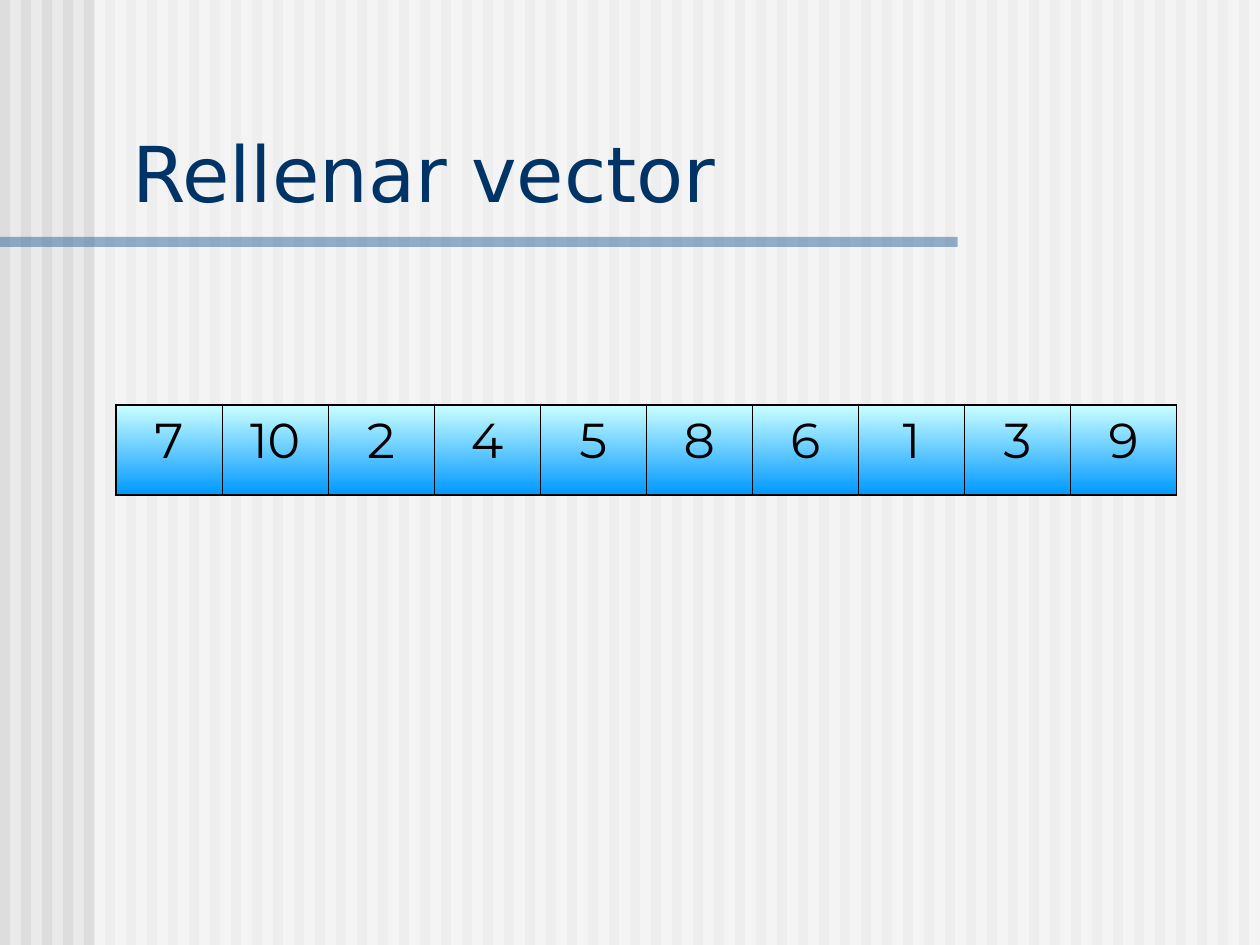
from lxml import etree
from pptx import Presentation
from pptx.dml.color import RGBColor
from pptx.enum.shapes import MSO_SHAPE
from pptx.enum.text import MSO_ANCHOR, PP_ALIGN
from pptx.oxml.ns import qn
from pptx.util import Inches, Pt

RECT = MSO_SHAPE.RECTANGLE
BOTTOM = MSO_ANCHOR.BOTTOM
LEFT, CENTER = PP_ALIGN.LEFT, PP_ALIGN.CENTER

PAPER = RGBColor(0xEA, 0xEA, 0xEA)
STRIPE = RGBColor(0xDD, 0xDD, 0xDD)
WHITE = RGBColor(0xFF, 0xFF, 0xFF)
RULE = RGBColor(0x33, 0x66, 0x99)
NAVY = RGBColor(0x00, 0x33, 0x66)
BLACK = RGBColor(0, 0, 0)
LIGHT = RGBColor(0xCC, 0xFF, 0xFF)
BLUE = RGBColor(0x00, 0x99, 0xFF)

NO_GRID = "{2D5ABB26-0587-4C30-8999-92F81FD0307C}"
THICK, THIN = 1.08, 0.45
VALUES = [7, 10, 2, 4, 5, 8, 6, 1, 3, 9]


def add_rect(shapes, x, y, w, h, color, alpha=None):
    rect = shapes.add_shape(RECT, Inches(x), Inches(y), Inches(w), Inches(h))
    rect.shadow.inherit = False
    rect.line.fill.background()
    rect.fill.solid()
    rect.fill.fore_color.rgb = color
    if alpha is not None:
        tint = rect.fill._xPr.find(qn("a:solidFill"))[0]
        etree.SubElement(tint, qn("a:alpha"), val=str(alpha * 1000))


def write(frame, text, font, size, color, align=LEFT):
    para = frame.paragraphs[0]
    para.alignment = align
    run = para.add_run()
    run.text = text
    run.font.name = font
    run.font.size = Pt(size)
    run.font.color.rgb = color


def add_back(slide, w, h):
    """Striped paper, a pale veil right of the margin, and the title rule."""
    slide.background.fill.solid()
    slide.background.fill.fore_color.rgb = PAPER
    shapes = slide.shapes.add_group_shape().shapes
    for i in range(int(w * 6)):
        add_rect(shapes, i / 6, 0, 0.08, h, STRIPE)
    add_rect(shapes, 0.75, 0, w - 0.75, h, WHITE, alpha=50)
    add_rect(shapes, 0, 1.88, 7.6, 0.08, RULE, alpha=50)


def add_title(slide, text, x, y, w, h):
    box = slide.shapes.add_textbox(Inches(x), Inches(y), Inches(w), Inches(h))
    frame = box.text_frame
    frame.word_wrap = True
    frame.vertical_anchor = BOTTOM
    write(frame, text, "DejaVu Sans", 44, NAVY)


def set_edge(cell, side, width):
    props = cell._tc.get_or_add_tcPr()
    line = etree.SubElement(props, qn("a:ln" + side), w=str(Pt(width)))
    fill = etree.SubElement(line, qn("a:solidFill"))
    etree.SubElement(fill, qn("a:srgbClr"), val=str(BLACK))


def shade(cell):
    cell.fill.gradient()
    cell.fill.gradient_angle = 270
    for stop, color, pos in zip(cell.fill.gradient_stops, (LIGHT, BLUE), (0, 1)):
        stop.color.rgb = color
        stop.position = pos


def add_vector(slide, values, x, y, w, h):
    """Table of three rows, with the values in the middle one."""
    count = len(values)
    shape = slide.shapes.add_table(
        3, count, Inches(x), Inches(y), Inches(w), Inches(h))
    table = shape.table
    table.first_row = table.horz_banding = False
    table._tbl.tblPr.find(qn("a:tableStyleId")).text = NO_GRID
    for col, value in enumerate(values):
        above, cell, below = (table.cell(row, col) for row in range(3))
        set_edge(above, "B", THICK)
        set_edge(cell, "L", THIN if col else THICK)
        set_edge(cell, "R", THIN if col < count - 1 else THICK)
        set_edge(cell, "T", THICK)
        set_edge(cell, "B", THICK)
        set_edge(below, "T", THICK)
        above.fill.background()
        below.fill.background()
        shade(cell)
        write(cell.text_frame, str(value), "Montserrat", 28, BLACK, align=CENTER)


def main():
    deck = Presentation()
    deck.slide_width, deck.slide_height = Inches(10), Inches(7.5)
    slide = deck.slides.add_slide(deck.slide_layouts[6])
    add_back(slide, 10, 7.5)
    add_vector(slide, VALUES, 0.92, 2.5, 8.42, 2.14)
    add_title(slide, "Rellenar vector", 0.95, 0.94, 8.93, 0.84)
    deck.save("out.pptx")


if __name__ == "__main__":
    main()
